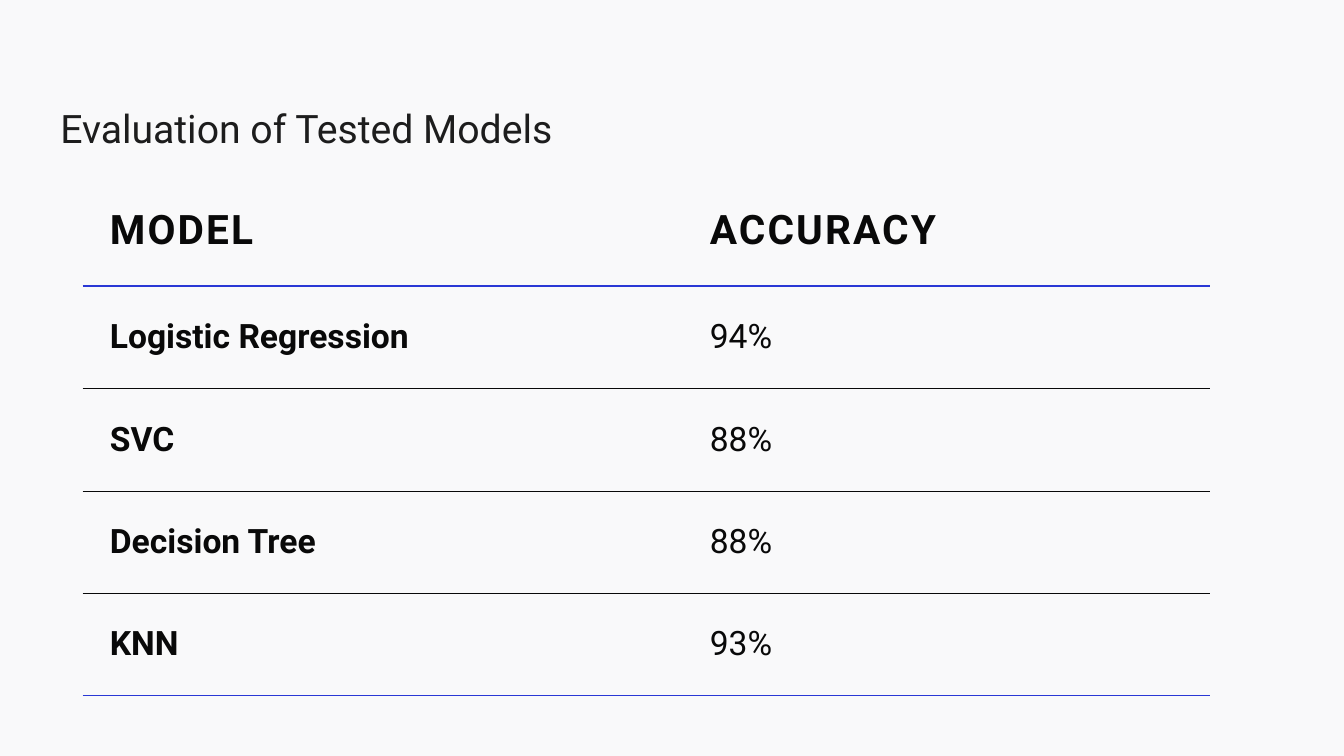
import pptx
import pptx.dml.color
import pptx.enum.shapes
import pptx.enum.text
import pptx.oxml
import pptx.oxml.ns
import pptx.util
from pptx.util import Inches

FONT = "Roboto"
INK, TITLE_INK, ACCENT, TINT = "090909", "1D1D1D", "2A38D5", "F1F2F3"
RESULTS = [
    ("MODEL", "ACCURACY"),
    ("Logistic Regression", "94%"),
    ("SVC", "88%"),
    ("Decision Tree", "88%"),
    ("KNN", "93%"),
]


def color(hex_code):
    return pptx.dml.color.RGBColor.from_string(hex_code)


def add_run(paragraph, text, size, ink, bold=False):
    run = paragraph.add_run()
    run.text = text
    run.font.name = FONT
    run.font.size = pptx.util.Pt(size)
    run.font.bold = bold
    run.font.color.rgb = color(ink)
    return run


def add_backdrop(slide, left, top, width, height):
    backdrop = slide.shapes.add_shape(
        pptx.enum.shapes.MSO_SHAPE.RECTANGLE,
        Inches(left), Inches(top), Inches(width), Inches(height))
    backdrop.shadow.inherit = False
    backdrop.line.fill.background()
    backdrop.fill.solid()
    backdrop.fill.fore_color.rgb = color(TINT)
    # 40% opacity
    tint = backdrop.fill._xPr.find(".//" + pptx.oxml.ns.qn("a:srgbClr"))
    tint.append(pptx.oxml.parse_xml(
        f'<a:alpha {pptx.oxml.ns.nsdecls("a")} val="40000"/>'))


def add_title(slide, left, top, width, height):
    title = slide.shapes.add_textbox(
        Inches(left), Inches(top), Inches(width), Inches(height))
    frame = title.text_frame
    frame.word_wrap = True
    frame.vertical_anchor = pptx.enum.text.MSO_ANCHOR.BOTTOM
    heading = frame.paragraphs[0]
    heading.line_spacing = 0.9
    add_run(heading, "Evaluation of Tested Models", 28, TITLE_INK)


def set_borders(cell, top, bottom):
    """Draw the horizontal rules, each (colour, points) or None; no side rules."""
    sides = {"lnL": None, "lnR": None, "lnT": top, "lnB": bottom}
    for position, (side, rule) in enumerate(sides.items()):
        ink, points = rule or (None, 0)
        fill = f'<a:solidFill><a:srgbClr val="{ink}"/></a:solidFill>' if rule else "<a:noFill/>"
        cell._tc.get_or_add_tcPr().insert(position, pptx.oxml.parse_xml(
            f'<a:{side} {pptx.oxml.ns.nsdecls("a")} w="{pptx.util.Pt(points)}">{fill}</a:{side}>'))


def add_results(slide, left, top, width, height):
    last = len(RESULTS) - 1
    table = slide.shapes.add_table(
        len(RESULTS), 2, Inches(left), Inches(top), Inches(width), Inches(height)).table
    table.first_row = table.horz_banding = False

    # Column widths and row heights
    model_width, header_height = 5.95, 1.1
    table.columns[0].width = Inches(model_width)
    table.columns[1].width = Inches(width - model_width)
    for index, row in enumerate(table.rows):
        row.height = Inches((height - header_height) / last if index else header_height)

    # Rule above each row, then the one that closes the table
    strong, thin = (ACCENT, 1.5), (INK, 0.5)
    rules = [None, strong] + [thin] * (last - 1) + [strong]

    for row, values in enumerate(RESULTS):
        for column, value in enumerate(values):
            cell = table.cell(row, column)
            cell.fill.background()
            cell.vertical_anchor = pptx.enum.text.MSO_ANCHOR.MIDDLE
            cell.margin_left = cell.margin_right = Inches(0.27)
            cell.margin_top = cell.margin_bottom = Inches(0.27)
            set_borders(cell, rules[row], rules[row + 1])
            is_header = row == 0
            run = add_run(cell.text_frame.paragraphs[0], value,
                          29 if is_header else 24, INK, is_header or column == 0)
            if is_header:
                run.font._element.set("spc", "150")


def main():
    deck = pptx.Presentation()
    deck.slide_width, deck.slide_height = Inches(13.33), Inches(7.5)
    slide = deck.slides.add_slide(deck.slide_layouts[6])
    add_backdrop(slide, 0, 0, 13.33, 7.5)
    add_title(slide, 0.5, 0.5, 11.82, 1.06)
    add_results(slide, 0.82, 1.74, 11.18, 5.16)
    deck.save("out.pptx")


if __name__ == "__main__":
    main()
